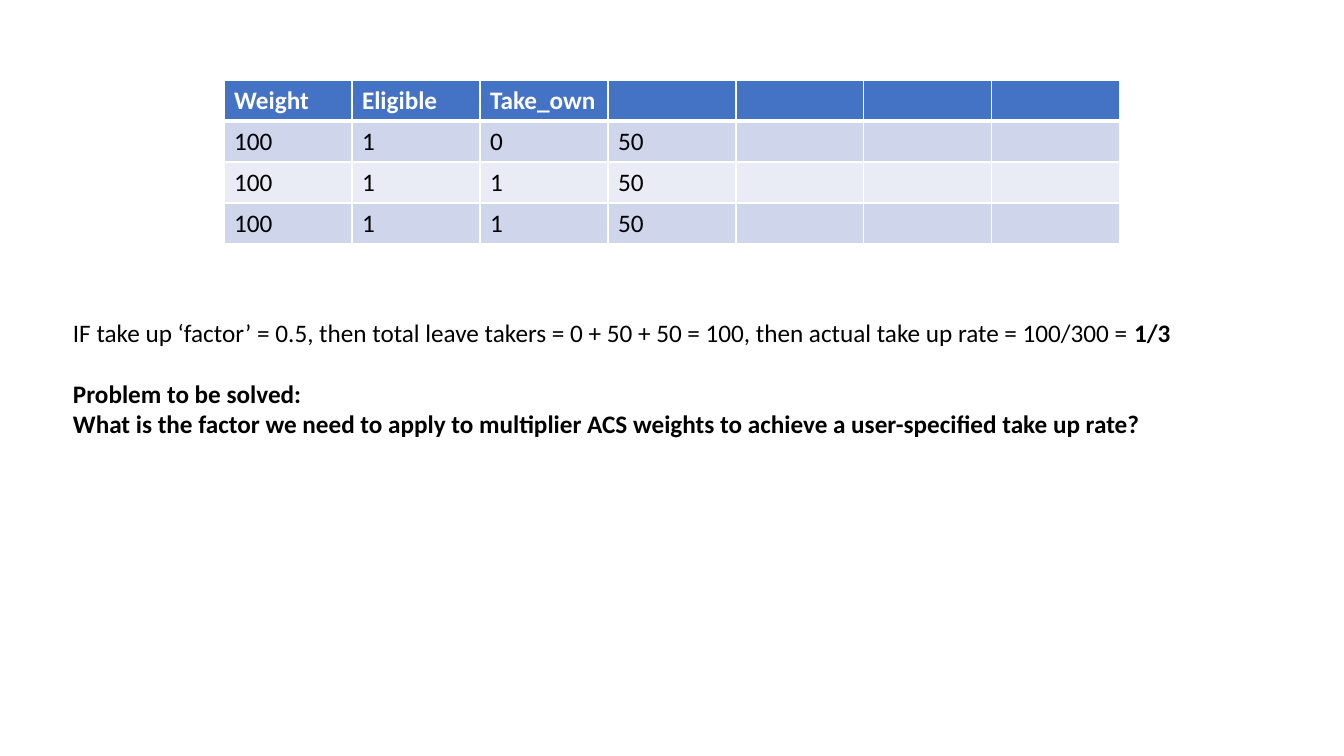
"""Build a slide with a leave-taker weight table and the take-up rate problem."""
from lxml import etree
from pptx import Presentation
from pptx.dml.color import RGBColor
from pptx.enum.text import MSO_AUTO_SIZE
from pptx.oxml.ns import qn
from pptx.util import Pt

NO_AUTOFIT = MSO_AUTO_SIZE.NONE
THEME = {
    "font": "Calibri", "size": 18,
    "text": "000000", "white": "FFFFFF",
    "header": "4472C4", "bands": ("CFD5EA", "E9EBF5"),
    "rule": 1, "header_rule": 3,
}


def px(n):
    return round(n * 914400 / 100.8)


def add_text(p, text, *, bold=False, color=THEME["text"]):
    r = p.add_run()
    r.text = text
    r.font.name = THEME["font"]
    r.font.size = Pt(THEME["size"])
    r.font.bold = bold
    r.font.color.rgb = RGBColor.from_string(color)


prs = Presentation()
prs.slide_width, prs.slide_height = px(1344), px(756)
s = prs.slides.add_slide(prs.slide_layouts[6])

ROWS = [
    ("Weight", "Eligible", "Take_own"),
    ("100", "1", "0", "50"),
    ("100", "1", "1", "50"),
    ("100", "1", "1", "50"),
]
COLS, COL_W, ROW_H = 7, 128, 41

table = s.shapes.add_table(len(ROWS), COLS, px(224), px(80),
                           px(COLS * COL_W), px(len(ROWS) * ROW_H)).table
for i, values in enumerate(ROWS):
    header = i == 0
    fill = THEME["header"] if header else THEME["bands"][(i - 1) % 2]
    color = THEME["white"] if header else THEME["text"]
    heavy_side = {0: "B", 1: "T"}.get(i)
    for j in range(COLS):
        cell = table.cell(i, j)
        tcPr = cell._tc.get_or_add_tcPr()
        for side in "LRTB":
            width = THEME["header_rule" if side == heavy_side else "rule"]
            ln = etree.SubElement(tcPr, qn(f"a:ln{side}"), w=str(Pt(width)))
            solid = etree.SubElement(ln, qn("a:solidFill"))
            etree.SubElement(solid, qn("a:srgbClr"), val=THEME["white"])
        cell.fill.solid()
        cell.fill.fore_color.rgb = RGBColor.from_string(fill)
        if j < len(values):
            add_text(cell.text_frame.paragraphs[0], values[j], bold=header, color=color)

tf = s.shapes.add_textbox(px(63), px(312), px(1154), px(132)).text_frame
tf.word_wrap = True
tf.auto_size = NO_AUTOFIT
p = tf.paragraphs[0]
add_text(p, "IF take up ‘factor’ = 0.5, then total leave takers = 0 + 50 + 50 = 100, "
            "then actual take up rate = 100/300 = ")
add_text(p, "1/3", bold=True)
p = tf.add_paragraph()
p.space_before = Pt(22)
add_text(p, "Problem to be solved:", bold=True)
add_text(tf.add_paragraph(), "What is the factor we need to apply to multiplier ACS weights "
                             "to achieve a user-specified take up rate?", bold=True)

prs.save("out.pptx")
